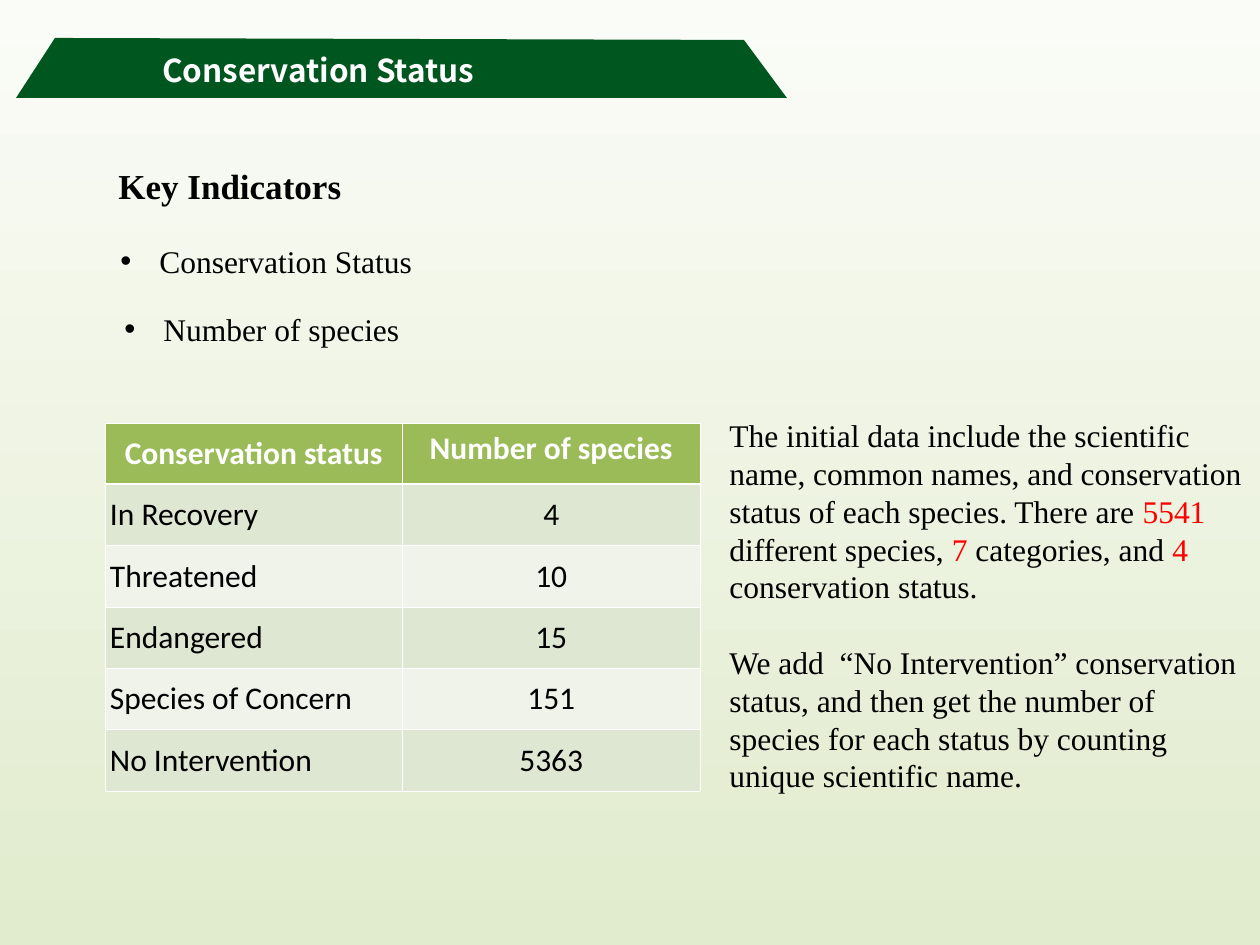
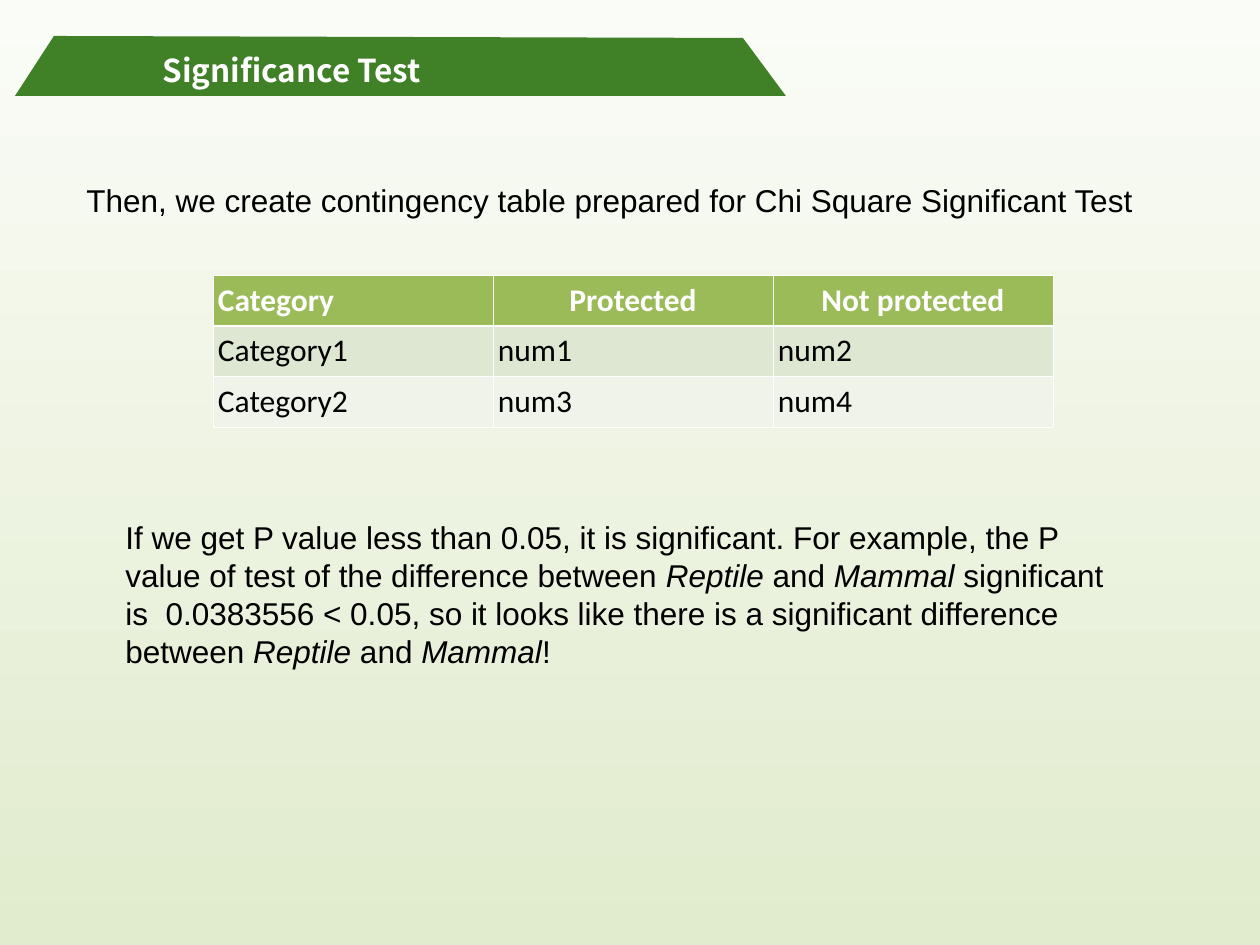
from lxml import etree
from pptx import Presentation, util as u
from pptx.dml.color import RGBColor
from pptx.enum import text
from pptx.oxml.ns import qn

PX = 914400 / 126
BLACK = RGBColor(0, 0, 0)
WHITE = RGBColor(0xFF, 0xFF, 0xFF)
RED = RGBColor(0xFF, 0, 0)
FOREST = RGBColor(0x00, 0x56, 0x1F)
LEAF = RGBColor(0x40, 0x80, 0x26)
HEADER_GREEN = RGBColor(0x9B, 0xBB, 0x59)
ROW_TINTS = RGBColor(0xDE, 0xE7, 0xD1), RGBColor(0xEF, 0xF3, 0xEA)
SKY = RGBColor(0xFA, 0xFC, 0xF7)
MEADOW = RGBColor(0xE1, 0xEB, 0xCD)
SERIF, SANS, TABLE_FONT, TITLE_FONT = "Times New Roman", "Arial", "Calibri", "Noto Sans CJK SC"
LEFT, CENTER = text.PP_ALIGN.LEFT, text.PP_ALIGN.CENTER
BAND_OUTLINE = [(39, 0), (728, 2), (771, 60), (0, 60)]
HAIRLINE, HEADER_RULE = 0.45, 1.47


def px(length):
    """Turn pixels into EMU."""
    return u.Emu(round(length * PX))


def add_run(paragraph, wording, font, size=18, color=BLACK, bold=False, italic=False):
    """Append one formatted run."""
    run = paragraph.add_run()
    run.text = wording
    run.font.name, run.font.size = font, u.Pt(size)
    run.font.bold, run.font.italic = bold, italic
    run.font.color.rgb = color


def add_text(slide, box, paragraphs, font, size=18, wrap=True, gap=0, **style):
    """Place paragraphs, each a list of (wording, overrides) runs, in a box."""
    frame = slide.shapes.add_textbox(*map(px, box)).text_frame
    frame.word_wrap = wrap
    for index, runs in enumerate(paragraphs):
        paragraph = frame.add_paragraph() if index else frame.paragraphs[0]
        paragraph.line_spacing = u.Pt(size * 1.2)
        if index:
            paragraph.space_before = u.Pt(gap)
        for wording, overrides in runs:
            add_run(paragraph, wording, font, size, **{**style, **overrides})
    return frame


def add_bullet(slide, box, wording):
    """Place a single bulleted indicator."""
    frame = add_text(slide, box, [[(wording, {})]], SERIF, wrap=False)
    properties = frame.paragraphs[0]._p.get_or_add_pPr()
    properties.set("marL", str(px(39)))
    properties.set("indent", str(px(-39)))
    etree.SubElement(properties, qn("a:buFont"), typeface="Arial")
    etree.SubElement(properties, qn("a:buChar"), char="•")


def add_title_band(slide, left, top, color, title, title_width):
    """Draw the slanted band and its title."""
    builder = slide.shapes.build_freeform(*BAND_OUTLINE[0], scale=PX)
    builder.add_line_segments(BAND_OUTLINE[1:], close=True)
    band = builder.convert_to_shape(px(left), px(top))
    band.shadow.inherit = False
    band.fill.solid()
    band.fill.fore_color.rgb = color
    band.line.fill.background()
    add_text(slide, (150, 45, title_width, 50), [[(title, {})]], TITLE_FONT,
             wrap=False, color=WHITE, bold=True)


def set_borders(cell, row):
    """Rule a cell in white, heavier under the header row."""
    properties = cell._tc.get_or_add_tcPr()
    widths = {"L": HAIRLINE, "R": HAIRLINE,
              "T": HEADER_RULE if row == 1 else HAIRLINE,
              "B": HEADER_RULE if row == 0 else HAIRLINE}
    for side, width in widths.items():
        line = etree.SubElement(properties, qn(f"a:ln{side}"), w=str(u.Pt(width)))
        fill = etree.SubElement(line, qn("a:solidFill"))
        etree.SubElement(fill, qn("a:srgbClr"), val=str(WHITE))


def add_grid(slide, box, rows, header_aligns, body_aligns):
    """Place an even table whose last header cell sits at the top."""
    left, top, width, height = map(px, box)
    last = len(rows[0]) - 1
    table = slide.shapes.add_table(len(rows), last + 1, left, top, width, height).table
    table.horz_banding = table.first_row = False
    for column in table.columns:
        column.width = width // (last + 1)
    for row, wordings in enumerate(rows):
        table.rows[row].height = height // len(rows)
        aligns = body_aligns if row else header_aligns
        for column, wording in enumerate(wordings):
            cell = table.cell(row, column)
            set_borders(cell, row)
            cell.fill.solid()
            cell.fill.fore_color.rgb = ROW_TINTS[(row - 1) % 2] if row else HEADER_GREEN
            roomy = row == 0 and column == last
            cell.vertical_anchor = text.MSO_ANCHOR.TOP if roomy else text.MSO_ANCHOR.MIDDLE
            cell.margin_left = cell.margin_right = px(13 if roomy else 5)
            paragraph = cell.text_frame.paragraphs[0]
            paragraph.alignment = aligns[column]
            add_run(paragraph, wording, TABLE_FONT, color=BLACK if row else WHITE, bold=not row)


def conservation_slide(slide):
    """Build the conservation status slide."""
    add_text(slide, (106, 158, 544, 55), [[("Key Indicators", {})]], SERIF, 20, bold=True)
    add_bullet(slide, (108, 236, 318, 50), "Conservation Status")
    add_bullet(slide, (112, 304, 300, 50), "Number of species")
    add_grid(slide, (105, 423, 595, 368), [
        ("Conservation status", "Number of species"),
        ("In Recovery", "4"),
        ("Threatened", "10"),
        ("Endangered", "15"),
        ("Species of Concern", "151"),
        ("No Intervention", "5363"),
    ], (CENTER, CENTER), (LEFT, CENTER))
    red = {"color": RED}
    add_text(slide, (717, 410, 546, 391), [
        [("The initial data include the scientific name, common names, and conservation "
          "status of each species. There are ", {}),
         ("5541", red), (" different species, ", {}), ("7", red),
         (" categories, and ", {}), ("4", red), (" conservation status.", {})],
        [("We add  “No Intervention” conservation status, and then get the number of "
          "species for each status by counting unique scientific name.", {})],
    ], SERIF, gap=21.6)
    add_title_band(slide, 16, 38, FOREST, "Conservation Status", 343)


def significance_slide(slide):
    """Build the significance test slide."""
    add_title_band(slide, 15, 36, LEAF, "Significance Test", 289)
    add_text(slide, (74, 175, 1081, 50), [
        [("Then, we create contingency table prepared for Chi Square Significant Test", {})],
    ], SANS)
    add_grid(slide, (213, 275, 840, 152), [
        ("Category", "Protected", "Not protected"),
        ("Category1", "num1", "num2"),
        ("Category2", "num3", "num4"),
    ], (LEFT, CENTER, CENTER), (LEFT, LEFT, LEFT))
    italic = {"italic": True}
    add_text(slide, (113, 512, 1022, 164), [
        [("If we get P value less than 0.05, it is significant. For example, the P value "
          "of test of the difference between ", {}),
         ("Reptile ", italic), ("and ", {}), ("Mammal", italic),
         (" significant is  0.0383556 < 0.05, so it looks like there is a significant "
          "difference between ", {}),
         ("Reptile", italic), (" and ", {}), ("Mammal", italic), ("!", {})],
    ], SANS)


def paint_background(slide):
    """Fill the slide from pale sky down to meadow green."""
    fill = slide.background.fill
    fill.gradient()
    fill.gradient_angle = 270
    for stop, color, position in zip(fill.gradient_stops, (SKY, MEADOW), (0, 1)):
        stop.color.rgb = color
        stop.position = position


def main():
    """Build and save the presentation."""
    deck = Presentation()
    deck.slide_width, deck.slide_height = px(1260), px(945)
    for build in (conservation_slide, significance_slide):
        slide = deck.slides.add_slide(deck.slide_layouts[6])
        paint_background(slide)
        build(slide)
    deck.save("out.pptx")


if __name__ == "__main__":
    main()
